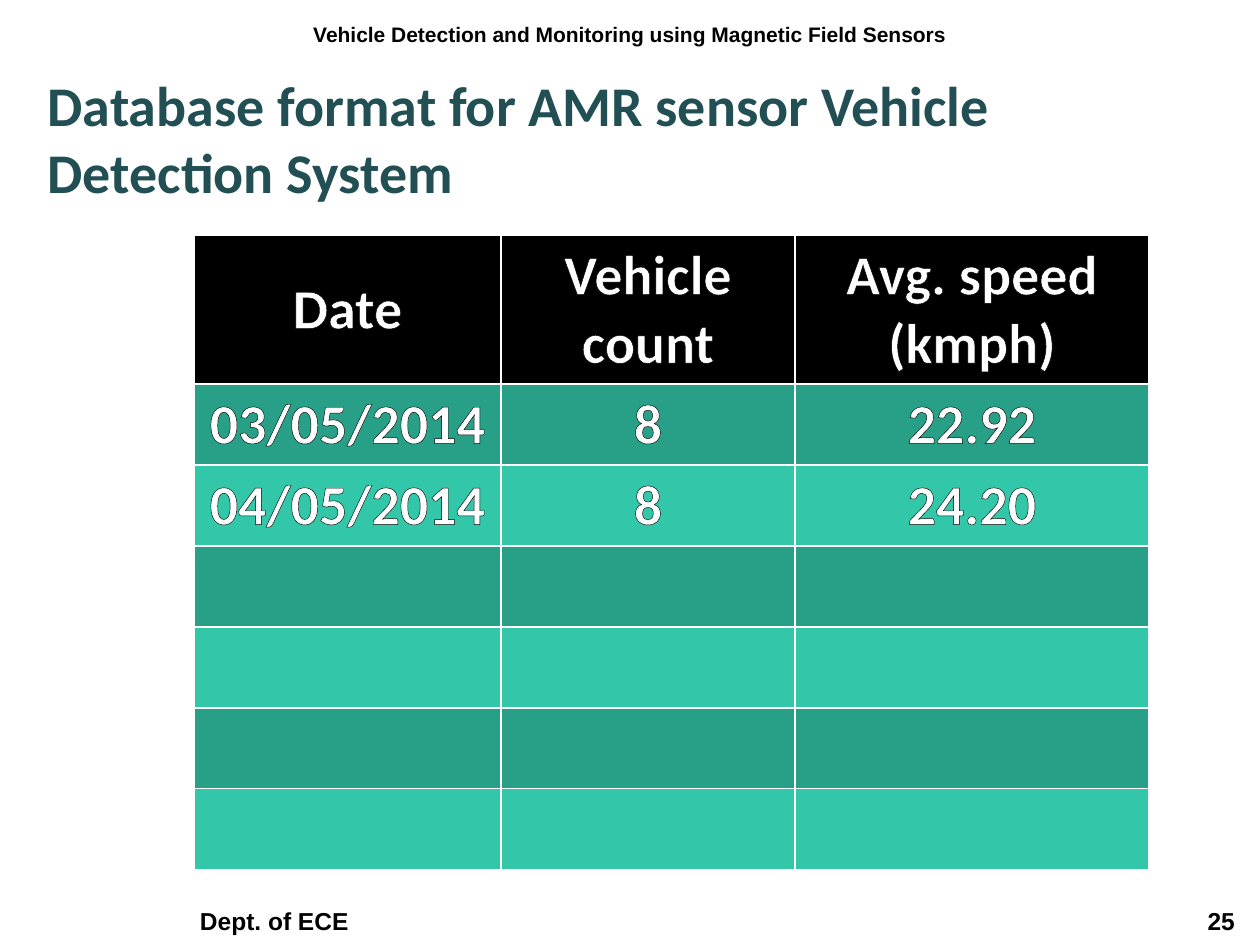
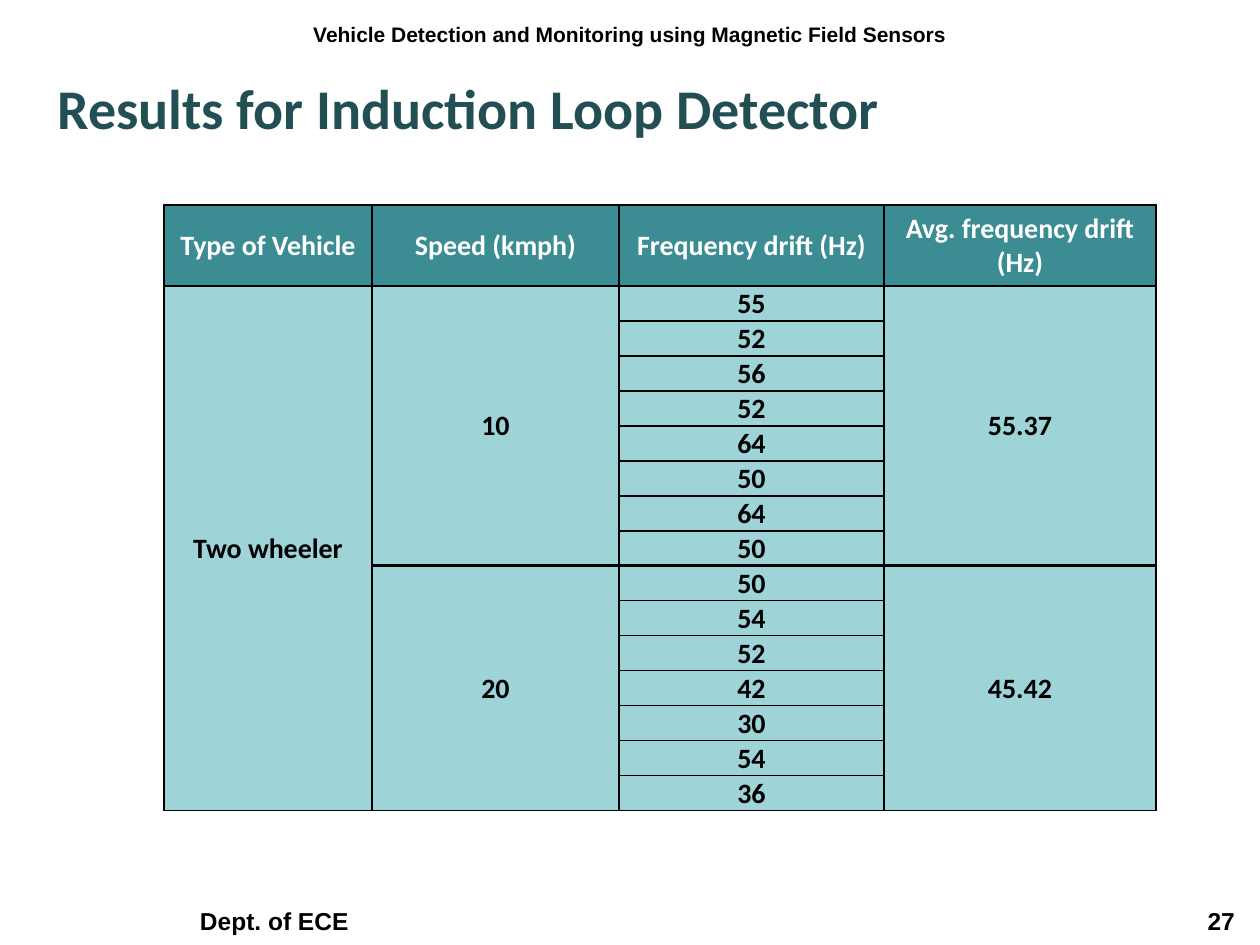
from dataclasses import dataclass

from pptx import Presentation
from pptx import util as u
from pptx.dml.color import RGBColor
from pptx.enum import text
from pptx.oxml import parse_xml
from pptx.oxml.ns import nsdecls

PX = u.Inches(1) / 126


@dataclass(frozen=True)
class Theme:
    heading: str = "Calibri"
    running: str = "Arial"
    black: str = "000000"
    white: str = "FFFFFF"
    title: str = "214F53"
    green_dark: str = "289F87"
    green_light: str = "32C7A9"
    teal: str = "3C8C93"
    teal_light: str = "9ED3D7"
    title_size: int = 32
    footer_size: int = 14
    header_size: int = 12
    records_size: int = 32
    results_size: int = 16


theme = Theme()


def px(length):
    return u.Emu(round(length * PX))


def format_text(frame, size, color, align, font=theme.heading):
    frame.word_wrap = True
    for para in frame.paragraphs:
        para.alignment = align
        for span in para.runs:
            span.font.name = font
            span.font.size = u.Pt(size)
            span.font.bold = True
            span.font.color.rgb = RGBColor.from_string(color)


LEFT, CENTER = text.PP_ALIGN.LEFT, text.PP_ALIGN.CENTER

deck = Presentation()
deck.slide_width, deck.slide_height = px(1260), px(945)

# Titles, running headers and footers
pages = []
for title_text, number, place in [
    ("Database format for AMR sensor Vehicle Detection System", 25, (35, 64, 1190, 141)),
    ("Results for Induction Loop Detector", 27, (45, 67, 1187, 84)),
]:
    page = deck.slides.add_slide(deck.slide_layouts[5])
    pages.append(page)

    title = page.shapes.title
    title.left, title.top, title.width, title.height = map(px, place)
    title.text_frame.text = title_text
    title.text_frame.auto_size = text.MSO_AUTO_SIZE.NONE
    title.text_frame.vertical_anchor = text.MSO_ANCHOR.TOP
    format_text(title.text_frame, theme.title_size, theme.title, LEFT)

    header = page.shapes.add_textbox(px(0), px(15), px(1260), px(50)).text_frame
    header.text = "Vehicle Detection and Monitoring using Magnetic Field Sensors"
    format_text(header, theme.header_size, theme.black, CENTER, theme.running)

    footer = page.shapes.add_textbox(px(0), px(892), px(1260), px(50)).text_frame
    footer.margin_left = footer.margin_right = 0
    footer.vertical_anchor = text.MSO_ANCHOR.BOTTOM
    footer.text = f"\tDept. of ECE\t{number}"
    format_text(footer, theme.footer_size, theme.black, LEFT, theme.running)
    footer.paragraphs[0]._p.get_or_add_pPr().append(parse_xml(
        f'<a:tabLst {nsdecls("a")}><a:tab pos="{px(200)}" algn="l"/>'
        f'<a:tab pos="{px(1235)}" algn="r"/></a:tabLst>'))

# Table contents
records = [
    ["Date", "Vehicle count", "Avg. speed (kmph)"],
    ["03/05/2014", "8", "22.92"],
    ["04/05/2014", "8", "24.20"],
] + [[""] * 3] * 4

speed_groups = [
    ("10", [55, 52, 56, 52, 64, 50, 64, 50], "55.37"),
    ("20", [50, 54, 52, 42, 30, 54, 36], "45.42"),
]
results = [["Type of Vehicle", "Speed (kmph)", "Frequency drift (Hz)", "Avg. frequency drift (Hz)"]]
group_starts = []
for speed, drifts, average in speed_groups:
    group_starts.append(len(results))
    results.append(["", speed, str(drifts[0]), average])
    results += [["", "", str(drift), ""] for drift in drifts[1:]]
results[1][0] = "Two wheeler"
last_row = len(results) - 1
second_group = group_starts[1]
merges = [(1, last_row, 0)]
for column in (1, 3):
    merges += [(1, second_group - 1, column), (second_group, last_row, column)]

# Tables
for page, rows, corner, widths, heights, size, head, bands, ink, line, spans in [
    (pages[0], records, (194, 235), (307, 294, 354), (149, 81), theme.records_size,
     theme.black, (theme.green_dark, theme.green_light), theme.white, theme.white, []),
    (pages[1], results, (164, 205), (208, 247, 265, 272), (81, 35), theme.results_size,
     theme.teal, (theme.teal_light, theme.teal_light), theme.black, theme.black, merges),
]:
    total_height = heights[0] + heights[1] * (len(rows) - 1)
    table = page.shapes.add_table(len(rows), len(widths), *map(px, corner),
                                  px(sum(widths)), px(total_height)).table
    table.first_row = table.horz_banding = False
    for column, width in zip(table.columns, widths):
        column.width = px(width)
    for first, last, column in spans:
        table.cell(first, column).merge(table.cell(last, column))

    for r, row in enumerate(rows):
        table.rows[r].height = px(heights[min(r, 1)])
        for c, words in enumerate(row):
            cell = table.cell(r, c)
            cell.vertical_anchor = text.MSO_ANCHOR.MIDDLE
            if rows is results and r > 0:
                cell.margin_left = cell.margin_right = cell.margin_top = px(1)
                cell.margin_bottom = 0

            end_row = r + (cell.span_height if cell.is_merge_origin else 1)
            divided = rows is results and c > 0
            for side in "LRTB":
                thick = divided and (side, second_group) in (("T", r), ("B", end_row))
                cell._tc.get_or_add_tcPr().append(parse_xml(
                    f'<a:ln{side} {nsdecls("a")} w="{u.Pt(2.25 if thick else 1)}"><a:solidFill>'
                    f'<a:srgbClr val="{line}"/></a:solidFill></a:ln{side}>'))
            cell.fill.solid()
            cell.fill.fore_color.rgb = RGBColor.from_string(bands[(r - 1) % 2] if r else head)

            if words:
                cell.text_frame.text = words
                format_text(cell.text_frame, size, ink if r else theme.white, CENTER)
                if rows is records:
                    span = cell.text_frame.paragraphs[0].runs[0]
                    span._r.get_or_add_rPr().insert(0, parse_xml(
                        f'<a:ln {nsdecls("a")} w="{u.Pt(0.75)}"><a:solidFill>'
                        f'<a:srgbClr val="{theme.black}"/></a:solidFill></a:ln>'))

deck.save("out.pptx")
